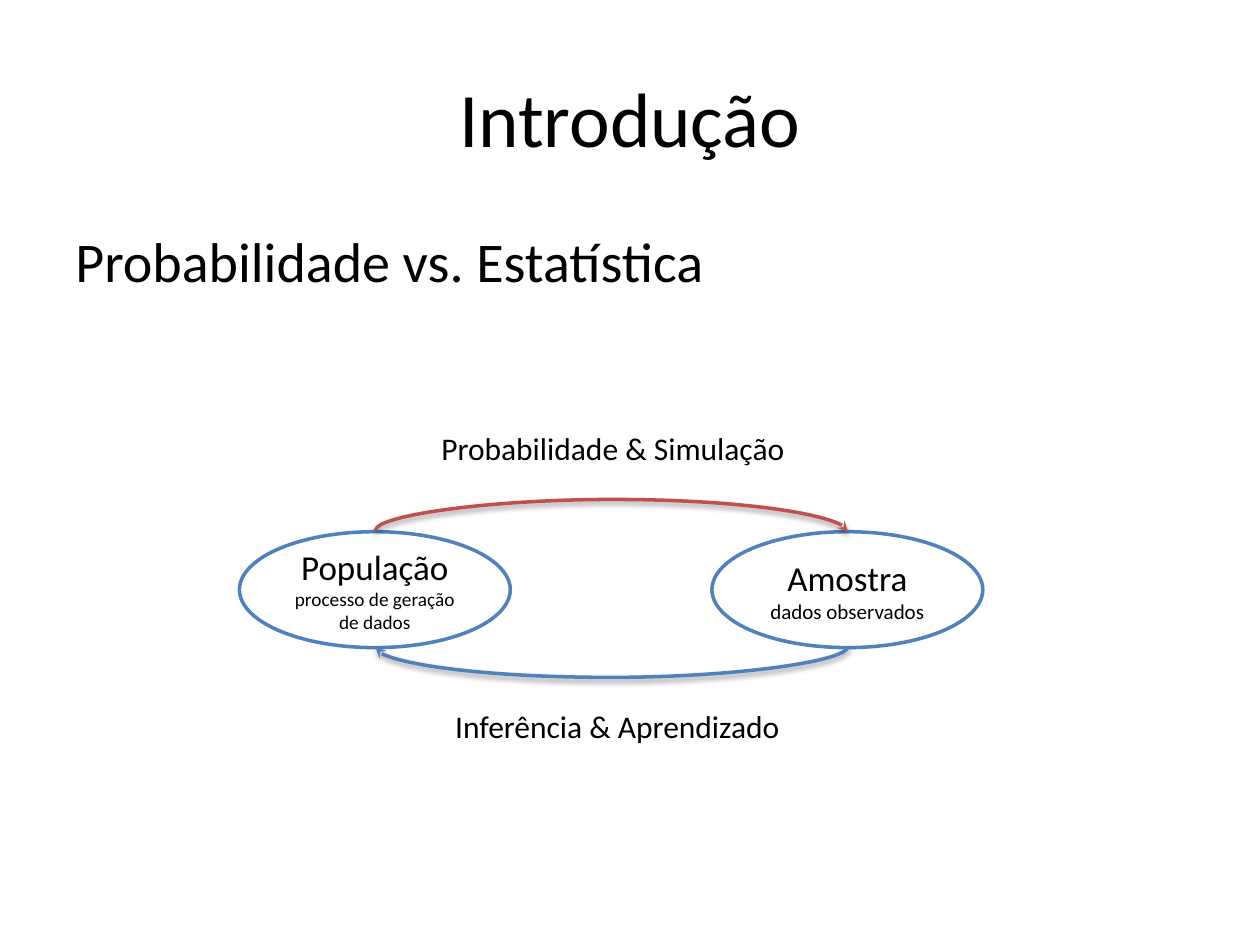
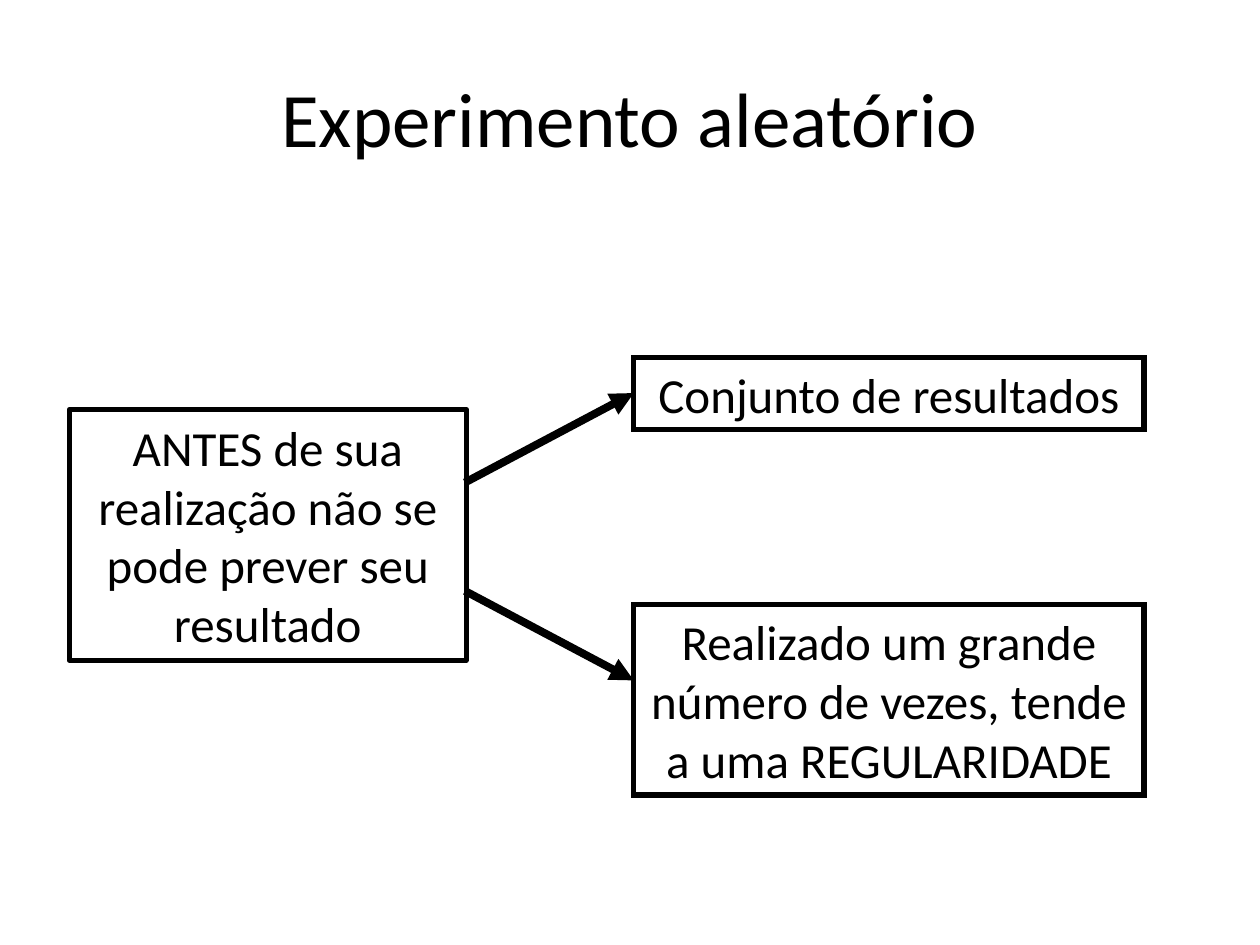
from dataclasses import dataclass
from typing import Any, NamedTuple

from lxml import etree
from pptx import Presentation
from pptx import util as u
from pptx.dml.color import RGBColor
from pptx.enum import shapes, text
from pptx.oxml.ns import qn

EMU_PER_PX = 9144
ELLIPSE_TOP, ELLIPSE_BOTTOM = 0, 4


@dataclass(frozen=True)
class Theme:
    font: str = "Calibri"
    ink: str = "000000"
    paper: str = "FFFFFF"
    blue: str = "4F81BD"
    red: str = "C0504D"
    title: int = 44
    body: int = 32
    statement: int = 28
    concept: int = 20
    label: int = 18
    ellipse_line: float = 2
    box_line: float = 3
    arrow_line: float = 4.5


THEME = Theme()


class Area(NamedTuple):
    left: int
    top: int
    width: int
    height: int


class Concept(NamedTuple):
    area: Area
    name: str
    detail: str
    detail_size: int


class Cycle(NamedTuple):
    color: str
    site: int
    top: int
    rotation: int
    flipped: bool
    bulge: int


class Statement(NamedTuple):
    area: Area
    lines: tuple[str, ...]
    mitred: bool


class Arrow(NamedTuple):
    start: tuple[int, int]
    end: tuple[int, int]


TITLE_AREA = Area(50, 30, 900, 125)
BODY_AREA = Area(50, 175, 900, 495)

POPULATION = Concept(Area(190, 422, 215, 92), "População", "processo de geração de dados", 11)
SAMPLE = Concept(Area(565, 422, 215, 92), "Amostra", "dados observados", 12)
CYCLE_LEFT = 485
CYCLE_SPAN = SAMPLE.area.left - POPULATION.area.left
SIMULATION = Cycle(THEME.red, ELLIPSE_TOP, 234, 270, True, -25)
INFERENCE = Cycle(THEME.blue, ELLIPSE_BOTTOM, 326, 90, False, 25)
CYCLE_LABELS = {
    "Probabilidade & Simulação": Area(336, 336, 301, 40),
    "Inferência & Aprendizado": Area(344, 556, 292, 40),
}

STATEMENTS = (
    Statement(Area(55, 325, 315, 199),
              ("ANTES de sua realização não se pode prever seu resultado",), False),
    Statement(Area(503, 284, 405, 57), ("Conjunto de resultados",), True),
    Statement(Area(503, 480, 405, 151),
              ("Realizado um grande", "número de vezes, tende", "a uma REGULARIDADE"), True),
)
ARROWS = (Arrow((369, 383), (503, 312)), Arrow((369, 469), (503, 540)))


def px(length: int) -> u.Emu:
    return u.Emu(length * EMU_PER_PX)


def rgb(color: str) -> RGBColor:
    return RGBColor.from_string(color)


def add_xml(parent: Any, tag: str, **attributes: Any) -> Any:
    return etree.SubElement(parent, qn(tag), {key: str(value) for key, value in attributes.items()})


def write(holder: Any, *paragraphs: str, size: int, detail: str = "", detail_size: int = 0,
          align: Any = text.PP_ALIGN.CENTER, anchor: Any = text.MSO_ANCHOR.MIDDLE) -> None:
    frame = holder.text_frame
    frame.word_wrap = True
    frame.vertical_anchor = anchor
    for index, content in enumerate(paragraphs):
        paragraph = frame.add_paragraph() if index else frame.paragraphs[0]
        paragraph.alignment = align
        runs = [(content, size)] + ([(detail, detail_size)] if detail else [])
        for position, (words, points) in enumerate(runs):
            if position:
                paragraph.add_line_break()
            run = paragraph.add_run()
            run.text = words
            run.font.name = THEME.font
            run.font.size = u.Pt(points)
            run.font.color.rgb = rgb(THEME.ink)


def add_text(slide: Any, area: Area, content: str, **style: Any) -> None:
    write(slide.shapes.add_textbox(*map(px, area)), content, **style)


def set_line(item: Any, color: str, width: float) -> Any:
    item.line.color.rgb = rgb(color)
    item.line.width = u.Pt(width)
    return item._element.spPr.find(qn("a:ln"))


def add_concept(slide: Any, concept: Concept) -> Any:
    ellipse = slide.shapes.add_shape(shapes.MSO_SHAPE.OVAL, *map(px, concept.area))
    ellipse.shadow.inherit = False
    ellipse.fill.solid()
    ellipse.fill.fore_color.rgb = rgb(THEME.paper)
    set_line(ellipse, THEME.blue, THEME.ellipse_line)
    write(ellipse, concept.name, size=THEME.concept,
          detail=concept.detail, detail_size=concept.detail_size)
    return ellipse


def add_cycle(slide: Any, cycle: Cycle, source: Any, target: Any) -> None:
    curve = slide.shapes.add_connector(
        shapes.MSO_CONNECTOR.CURVE, px(CYCLE_LEFT), px(cycle.top),
        px(CYCLE_LEFT + 1), px(cycle.top + CYCLE_SPAN))
    properties = curve._element.spPr
    frame = properties.find(qn("a:xfrm"))
    frame.set("rot", str(cycle.rotation * 60000))
    if cycle.flipped:
        frame.set("flipH", "1")
    adjustments = properties.find(f".//{qn('a:avLst')}")
    add_xml(adjustments, "a:gd", name="adj1", fmla=f"val {cycle.bulge * 100000}")
    ends = curve._element.nvCxnSpPr.cNvCxnSpPr
    for tag, concept in (("a:stCxn", source), ("a:endCxn", target)):
        add_xml(ends, tag, id=concept.shape_id, idx=cycle.site)
    line = set_line(curve, cycle.color, THEME.ellipse_line)
    add_xml(line, "a:tailEnd", type="stealth")
    effects = add_xml(properties, "a:effectLst")
    shadow = add_xml(effects, "a:outerShdw", blurRad=u.Pt(3.1), dist=u.Pt(1.6),
                     dir=90 * 60000, rotWithShape=0)
    add_xml(add_xml(shadow, "a:srgbClr", val=THEME.ink), "a:alpha", val=38000)


def add_statement(slide: Any, statement: Statement) -> None:
    box = slide.shapes.add_shape(shapes.MSO_SHAPE.RECTANGLE, *map(px, statement.area))
    box.shadow.inherit = False
    box.fill.background()
    line = set_line(box, THEME.ink, THEME.box_line)
    if statement.mitred:
        add_xml(line, "a:miter", lim=800000)
    write(box, *statement.lines, size=THEME.statement)


def add_arrow(slide: Any, arrow: Arrow) -> None:
    link = slide.shapes.add_connector(
        shapes.MSO_CONNECTOR.STRAIGHT, *map(px, arrow.start + arrow.end))
    add_xml(set_line(link, THEME.ink, THEME.arrow_line), "a:tailEnd", type="triangle")
    add_xml(link._element.spPr, "a:effectLst")


def add_slide(deck: Any, title: str) -> Any:
    slide = deck.slides.add_slide(deck.slide_layouts[6])
    add_text(slide, TITLE_AREA, title, size=THEME.title)
    return slide


def build_introduction(deck: Any) -> None:
    slide = add_slide(deck, "Introdução")
    add_text(slide, BODY_AREA, "Probabilidade vs. Estatística", size=THEME.body,
             align=text.PP_ALIGN.LEFT, anchor=text.MSO_ANCHOR.TOP)
    population = add_concept(slide, POPULATION)
    sample = add_concept(slide, SAMPLE)
    add_cycle(slide, SIMULATION, population, sample)
    add_cycle(slide, INFERENCE, sample, population)
    for label, area in CYCLE_LABELS.items():
        add_text(slide, area, label, size=THEME.label, anchor=text.MSO_ANCHOR.TOP)


def build_experiment(deck: Any) -> None:
    slide = add_slide(deck, "Experimento aleatório")
    for statement in STATEMENTS:
        add_statement(slide, statement)
    for arrow in ARROWS:
        add_arrow(slide, arrow)


def main() -> None:
    deck = Presentation()
    deck.slide_width, deck.slide_height = px(1000), px(750)
    build_introduction(deck)
    build_experiment(deck)
    deck.save("out.pptx")


if __name__ == "__main__":
    main()
